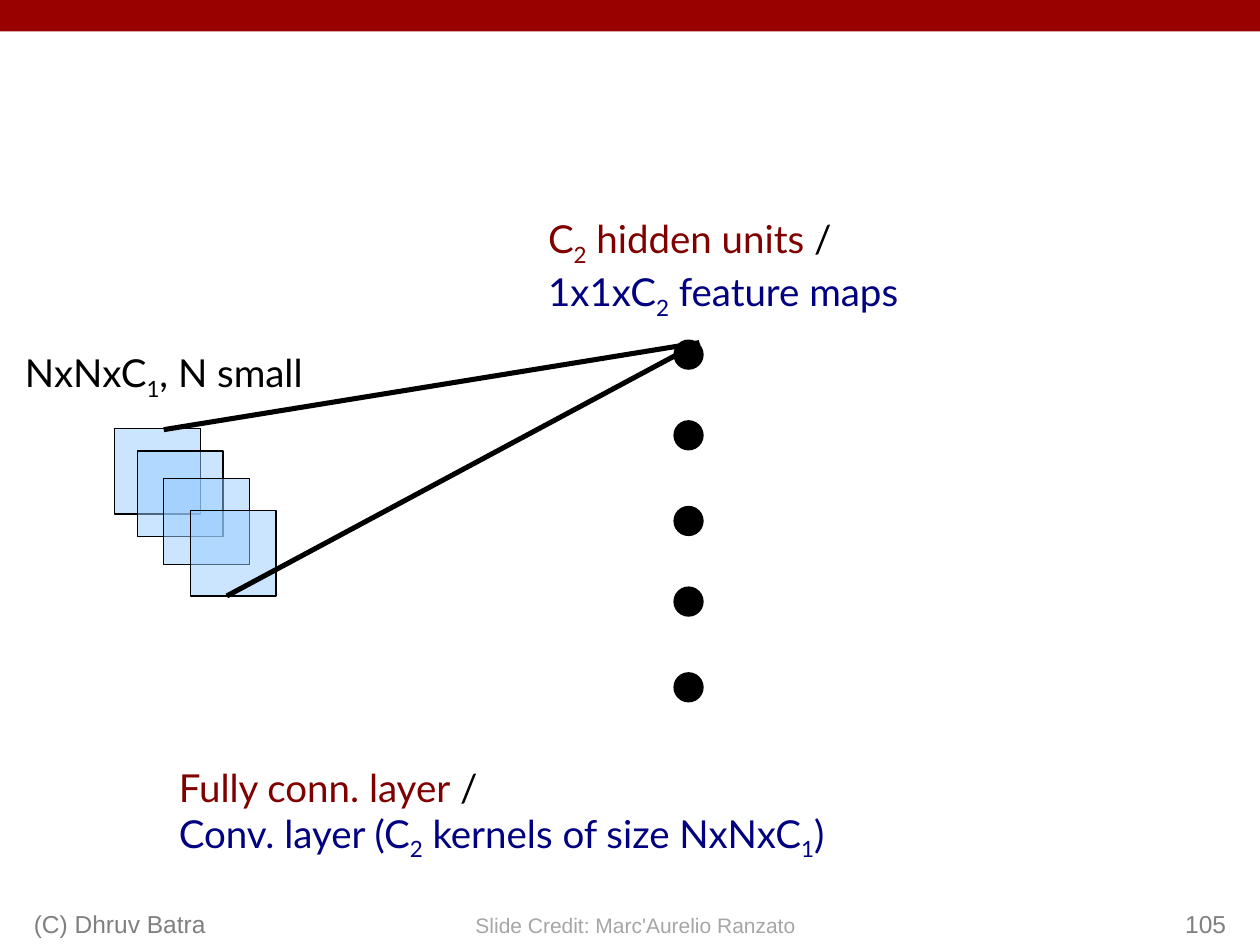
"""Build a slide relating a fully connected layer to a convolutional layer."""
from lxml import etree
from pptx import Presentation
from pptx.dml.color import RGBColor
from pptx.enum.shapes import MSO_CONNECTOR as CONN, MSO_SHAPE as SHAPE
from pptx.enum.text import MSO_ANCHOR as ANCHOR, PP_ALIGN as ALIGN
from pptx.oxml.ns import qn
from pptx.util import Inches, Pt

BLACK = RGBColor(0x00, 0x00, 0x00)
RED = RGBColor(0x99, 0x00, 0x00)
MAROON = RGBColor(0x80, 0x00, 0x00)
NAVY = RGBColor(0x00, 0x00, 0x80)
SKY = RGBColor(0x99, 0xCC, 0xFF)
GRAY = RGBColor(0x80, 0x80, 0x80)
LIGHT_GRAY = RGBColor(0xA6, 0xA6, 0xA6)


class Deck:
    label_font, label_size = "Lato", 22
    footer_font = "Arial"
    label_insets = (0.09, 0.07, 0.09, 0.04)
    footer_insets = (0.1, 0.05, 0.1, 0.05)

    def __init__(self, slide):
        self.slide = slide

    def shape(self, kind, x, y, w, h, fill, outlined=True, alpha=None):
        sp = self.slide.shapes.add_shape(kind, Inches(x), Inches(y), Inches(w), Inches(h))
        sp.shadow.inherit = False
        sp.fill.solid()
        sp.fill.fore_color.rgb = fill
        if alpha is not None:
            color = sp._element.spPr.find(qn("a:solidFill"))[0]
            etree.SubElement(color, qn("a:alpha"), val=str(alpha * 1000))
        if outlined:
            sp.line.color.rgb = BLACK
            sp.line.width = Pt(0.75)
        else:
            sp.line.fill.background()

    def line(self, start, end):
        points = [Inches(v) for v in (*start, *end)]
        cx = self.slide.shapes.add_connector(CONN.STRAIGHT, *points)
        cx.line.color.rgb = BLACK
        cx.line.width = Pt(2.89)
        etree.SubElement(cx._element.spPr, qn("a:effectLst"))

    def text(self, x, y, w, h, paragraphs, font, size, insets,
             align=ALIGN.LEFT, anchor=ANCHOR.TOP, wrap=True):
        sp = self.slide.shapes.add_textbox(Inches(x), Inches(y), Inches(w), Inches(h))
        tf = sp.text_frame
        tf.word_wrap = wrap
        tf.vertical_anchor = anchor
        tf.margin_left, tf.margin_top, tf.margin_right, tf.margin_bottom = map(Inches, insets)
        for i, runs in enumerate(paragraphs):
            p = tf.paragraphs[0] if i == 0 else tf.add_paragraph()
            p.alignment = align
            for content, color, *subscript in runs:
                r = p.add_run()
                r.text = content
                r.font.name = font
                r.font.size = Pt(size)
                r.font.color.rgb = color
                if subscript:
                    r.font._element.set("baseline", "-25000")

    def label(self, x, y, w, h, paragraphs, align=ALIGN.LEFT):
        self.text(x, y, w, h, paragraphs, self.label_font, self.label_size,
                  self.label_insets, align)

    def footer(self, x, y, w, h, content, color, size, align, anchor=ANCHOR.BOTTOM, wrap=True):
        self.text(x, y, w, h, [[(content, color)]], self.footer_font, size,
                  self.footer_insets, align, anchor, wrap)


def main():
    prs = Presentation()
    prs.slide_width, prs.slide_height = Inches(10), Inches(7.5)
    deck = Deck(prs.slides.add_slide(prs.slide_layouts[6]))

    deck.shape(SHAPE.RECTANGLE, 0, 0, 10, 0.25, RED, outlined=False)
    deck.label(0.04, 2.7, 2.52, 0.61,
               [[("NxNxC", BLACK), ("1", BLACK, True), (", N small", BLACK)]], ALIGN.CENTER)

    for x, y in ((0.91, 3.4), (1.09, 3.58), (1.3, 3.8), (1.51, 4.05)):
        deck.shape(SHAPE.RECTANGLE, x, y, 0.68, 0.68, SKY, alpha=50)
    for y in (2.7, 3.34, 4.02, 4.66, 5.34):
        deck.shape(SHAPE.OVAL, 5.35, y, 0.23, 0.23, BLACK)
    for start in ((1.3, 3.41), (1.8, 4.73)):
        deck.line(start, (5.55, 2.72))

    deck.footer(3.66, 7.19, 2.77, 0.3, "Slide Credit: Marc'Aurelio Ranzato",
                LIGHT_GRAY, 12, ALIGN.CENTER, ANCHOR.TOP, wrap=False)
    deck.footer(0.17, 7, 3.17, 0.5, "(C) Dhruv Batra", GRAY, 14, ALIGN.LEFT)
    deck.footer(7.75, 7, 2.08, 0.5, "105", GRAY, 14, ALIGN.RIGHT)

    deck.label(1.33, 5.99, 5.83, 0.76, [
        [("Fully conn. layer", MAROON), (" /", BLACK)],
        [("Conv. layer (C", NAVY), ("2", NAVY, True), (" kernels of size NxNxC", NAVY),
         ("1", NAVY, True), (")", NAVY)],
    ])
    deck.label(4.26, 1.64, 3.49, 0.76, [
        [("C", MAROON), ("2", MAROON, True), (" hidden units", MAROON), (" /", BLACK)],
        [("1x1xC", NAVY), ("2", NAVY, True), (" feature maps", NAVY)],
    ])
    prs.save("out.pptx")


if __name__ == "__main__":
    main()
